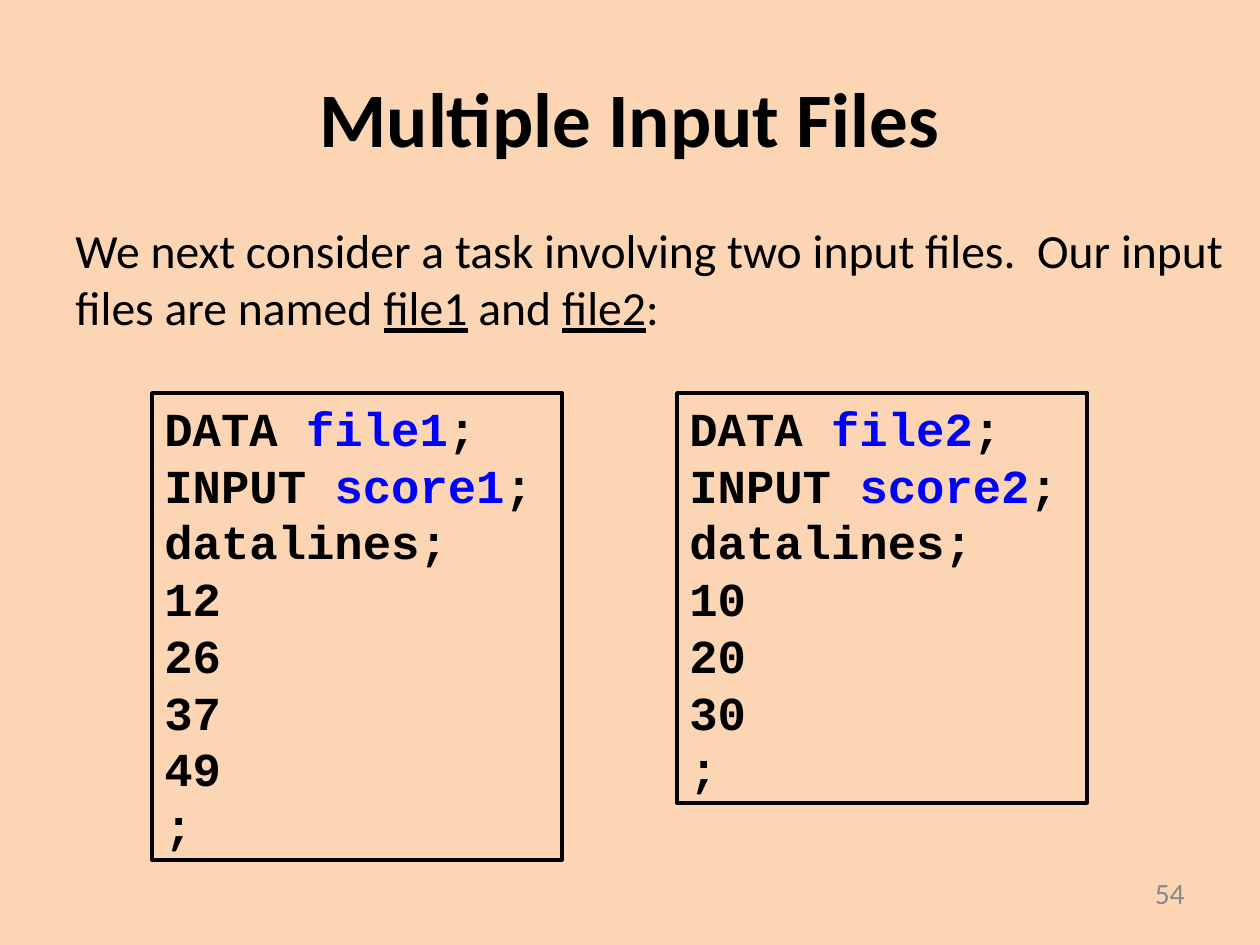
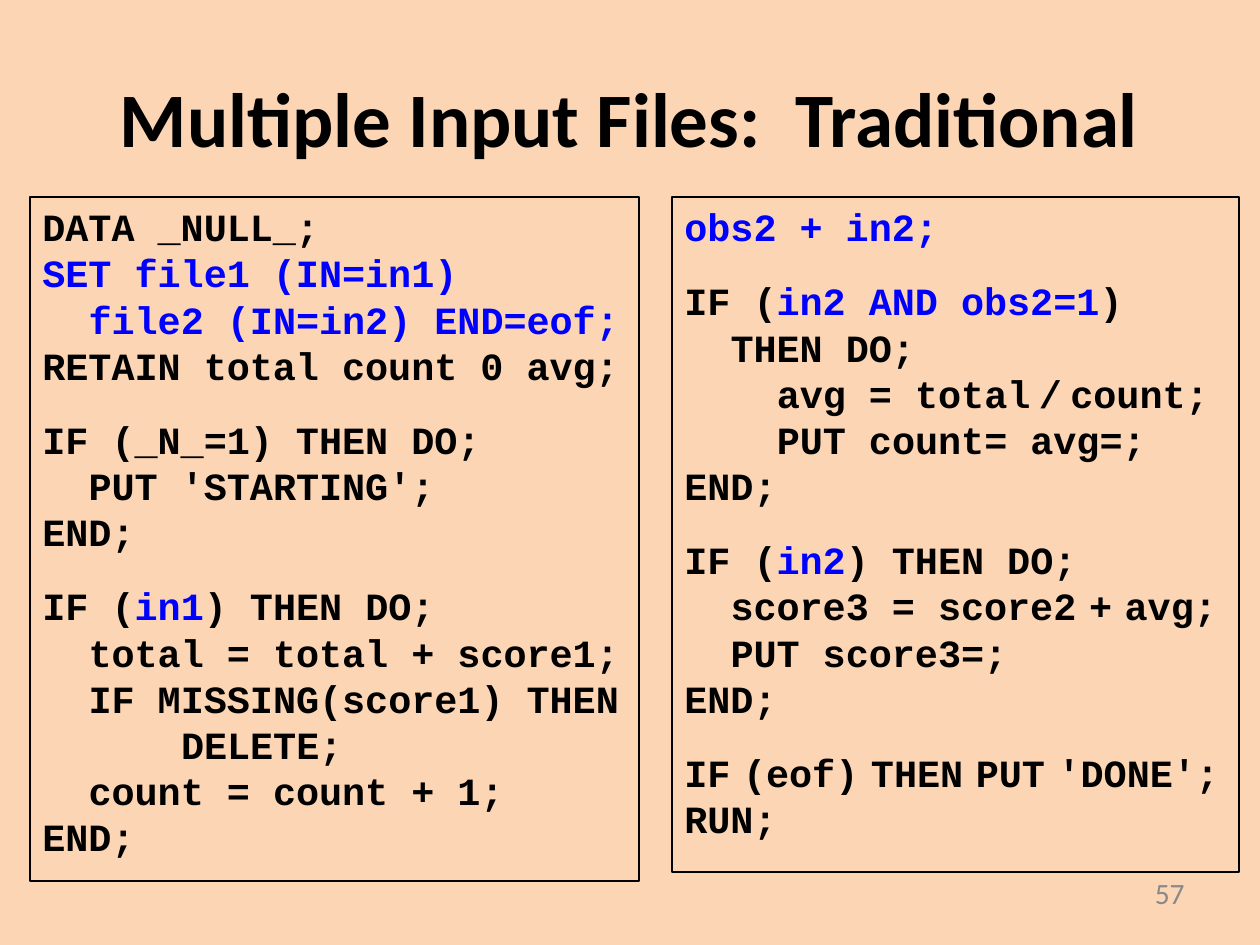
from dataclasses import dataclass

from pptx import Presentation
from pptx import util as u
from pptx.dml.color import RGBColor
from pptx.enum import shapes, text


@dataclass(frozen=True)
class Theme:
    background: str = "FCD5B5"
    ink: str = "000000"
    highlight: str = "0000FF"
    muted: str = "898989"
    prose_font: str = "Calibri"
    code_font: str = "Courier New"
    title_size: float = 44
    body_size: float = 27.2
    number_size: float = 16.8
    short_code_size: float = 27
    long_code_size: float = 22


@dataclass(frozen=True)
class Run:
    text: str
    color: str = ""
    size: float = 0
    underline: bool = False


@dataclass(frozen=True)
class Line:
    runs: tuple
    indent: int = 0
    gap: float = 0


THEME = Theme()
EMU_PER_PX = 914400 / 126
SLIDE_SIZE = (1260, 945)
TITLE_BOX = (63, 38, 1134, 158)
BODY_BOX = (63, 215, 1176, 136)
NUMBER_BOX = (903, 871, 294, 50)
BLOCK_GAP = 16
CODE_ADVANCE = 0.6


def px(length):
    return u.Emu(round(length * EMU_PER_PX))


def blue(words):
    return Run(words, color=THEME.highlight)


def thin(size):
    return Run(" ", size=size)


def underlined(words):
    return Run(words, underline=True)


def line(*parts, indent=0, gap=0):
    runs = tuple(Run(part) if isinstance(part, str) else part for part in parts)
    return Line(runs, indent, gap)


def add_runs(paragraph, runs, font, size, color=THEME.ink, bold=False):
    for item in runs:
        run = paragraph.add_run()
        run.text = item.text
        run.font.name = font
        run.font.size = u.Pt(item.size or size)
        run.font.bold = bold
        run.font.underline = item.underline
        run.font.color.rgb = RGBColor.from_string(item.color or color)


def place_title(slide, words):
    title = slide.shapes.title
    title.left, title.top, title.width, title.height = map(px, TITLE_BOX)
    frame = title.text_frame
    frame.vertical_anchor = text.MSO_ANCHOR.MIDDLE
    paragraph = frame.paragraphs[0]
    paragraph.alignment = text.PP_ALIGN.CENTER
    add_runs(paragraph, [Run(words)], THEME.prose_font, THEME.title_size, bold=True)


def add_text_box(slide, box):
    frame = slide.shapes.add_textbox(*map(px, box)).text_frame
    frame.word_wrap = True
    return frame


def add_body(slide, content):
    paragraph = add_text_box(slide, BODY_BOX).paragraphs[0]
    add_runs(paragraph, content.runs, THEME.prose_font, THEME.body_size)


def add_slide_number(slide, number):
    frame = add_text_box(slide, NUMBER_BOX)
    frame.vertical_anchor = text.MSO_ANCHOR.MIDDLE
    paragraph = frame.paragraphs[0]
    paragraph.alignment = text.PP_ALIGN.RIGHT
    paragraph.line_spacing = 0.8
    add_runs(paragraph, [Run(str(number))], THEME.prose_font, THEME.number_size, THEME.muted)


def indent_paragraph(paragraph, characters, size):
    properties = paragraph._p.get_or_add_pPr()
    properties.set("marL", str(u.Pt(characters * size * CODE_ADVANCE)))
    properties.set("indent", "0")


def add_code_box(slide, box, lines, size, border):
    shape = slide.shapes.add_shape(shapes.MSO_SHAPE.RECTANGLE, *map(px, box))
    shape.shadow.inherit = False
    shape.fill.background()
    shape.line.color.rgb = RGBColor.from_string(THEME.ink)
    shape.line.width = u.Pt(border)
    frame = shape.text_frame
    frame.word_wrap = True
    frame.vertical_anchor = text.MSO_ANCHOR.TOP
    for index, content in enumerate(lines):
        paragraph = frame.add_paragraph() if index else frame.paragraphs[0]
        paragraph.alignment = text.PP_ALIGN.LEFT
        paragraph.space_before = u.Pt(content.gap)
        indent_paragraph(paragraph, content.indent, size)
        add_runs(paragraph, content.runs, THEME.code_font, size, bold=True)


def add_titled_slide(presentation, title, number):
    slide = presentation.slides.add_slide(presentation.slide_layouts[5])
    place_title(slide, title)
    add_slide_number(slide, number)
    return slide


def data_step(index, scores):
    return [
        line("DATA ", blue(f"file{index}"), ";"),
        line("INPUT ", blue(f"score{index}"), ";"),
        line("datalines;"),
        *(line(str(score)) for score in scores),
        line(";"),
    ]


def add_input_slide(presentation):
    slide = add_titled_slide(presentation, "Multiple Input Files", 54)
    add_body(slide, line(
        "We next consider a task involving two input files.  Our input files are named ",
        underlined("file1"), " and ", underlined("file2"), ":"))
    steps = [(152, 467, (12, 26, 37, 49)), (677, 410, (10, 20, 30))]
    for index, (left, height, scores) in enumerate(steps, start=1):
        add_code_box(slide, (left, 393, 410, height), data_step(index, scores),
                     THEME.short_code_size, 2)


def add_traditional_slide(presentation):
    slide = add_titled_slide(presentation, "Multiple Input Files:  Traditional", 57)
    first_half = [
        line("DATA _NULL_;"),
        line(blue("SET file1 (IN=in1)")),
        line(blue("file2 (IN=in2) END=eof;"), indent=2),
        line("RETAIN total count 0 avg;"),
        line("IF (_N_=1) THEN DO;", gap=BLOCK_GAP),
        line("PUT 'STARTING';", indent=2),
        line("END;"),
        line("IF (", blue("in1"), ") THEN DO;", gap=BLOCK_GAP),
        line("total = total + score1;", indent=2),
        line("IF MISSING(score1) THEN", indent=2),
        line("DELETE;", indent=6),
        line("count = count + 1;", indent=2),
        line("END;"),
    ]
    second_half = [
        line(blue("obs2 + in2;")),
        line("IF (", blue("in2 AND obs2=1"), ")", gap=BLOCK_GAP),
        line("THEN DO;", indent=2),
        line("avg = total", thin(8), "/", thin(8), "count;", indent=4),
        line("PUT count= avg=;", indent=4),
        line("END;"),
        line("IF (", blue("in2"), ") THEN DO;", gap=BLOCK_GAP),
        line("score3 = score2", thin(12), "+", thin(12), "avg;", indent=2),
        line("PUT score3=;", indent=2),
        line("END;"),
        line("IF", thin(12), "(eof)", thin(12), "THEN", thin(12), "PUT", thin(12),
             "'DONE';", gap=BLOCK_GAP),
        line("RUN;"),
    ]
    halves = [((30, 197, 609, 684), first_half), ((672, 197, 567, 675), second_half)]
    for box, lines in halves:
        add_code_box(slide, box, lines, THEME.long_code_size, 1.5)


def main():
    presentation = Presentation()
    presentation.slide_width, presentation.slide_height = map(px, SLIDE_SIZE)
    background = presentation.slide_master.background.fill
    background.solid()
    background.fore_color.rgb = RGBColor.from_string(THEME.background)
    add_input_slide(presentation)
    add_traditional_slide(presentation)
    presentation.save("out.pptx")


if __name__ == "__main__":
    main()
